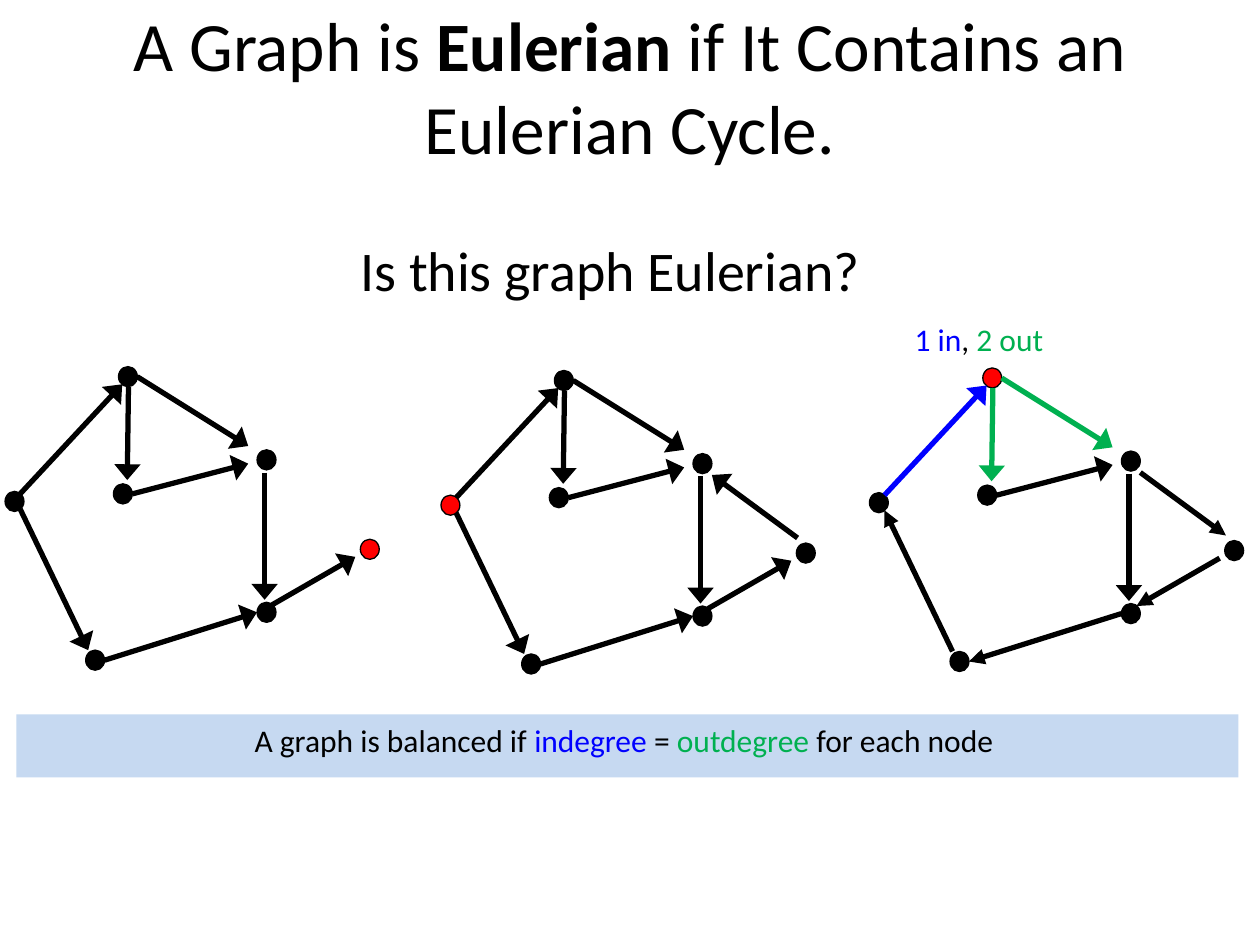
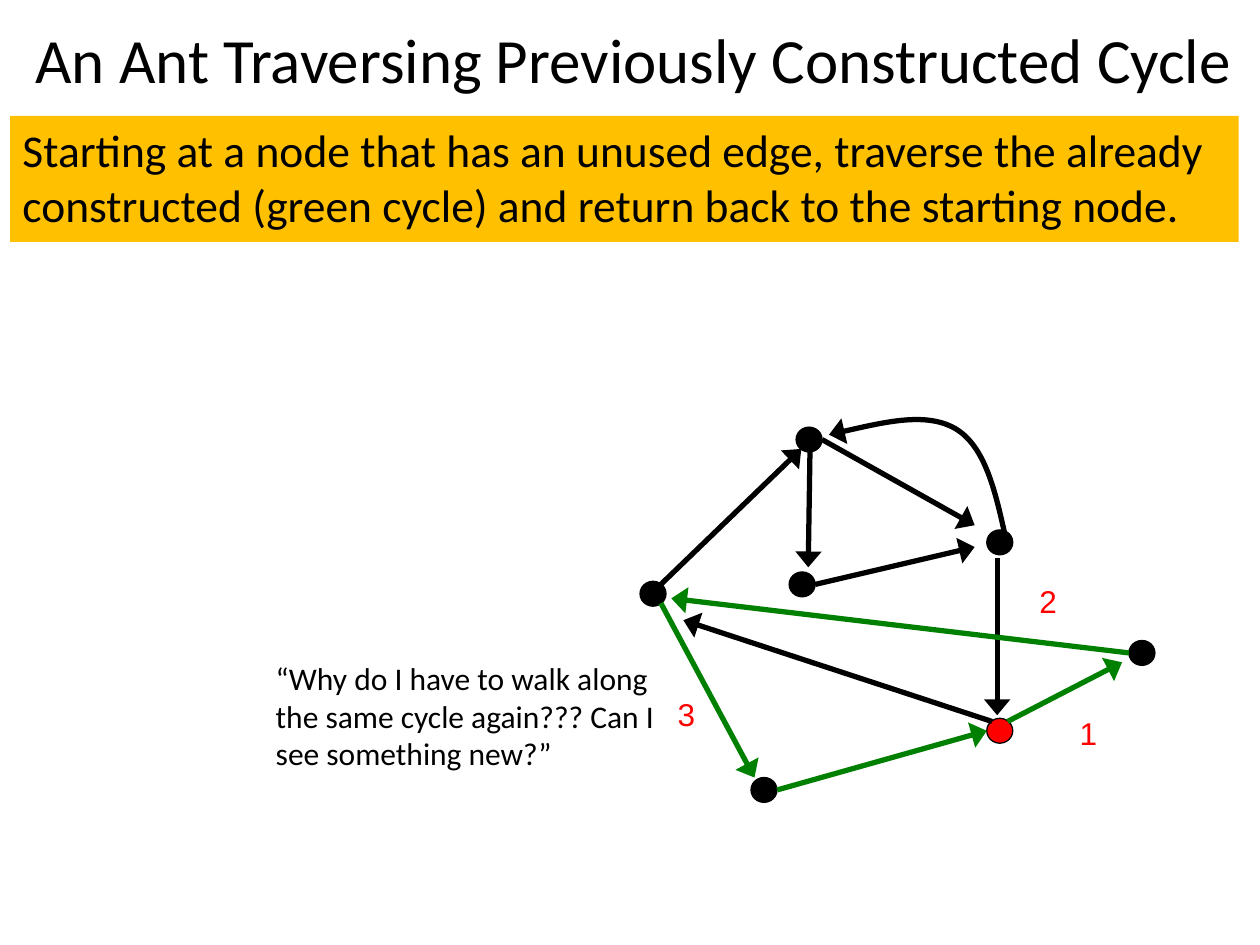
"""Builds two slides on Eulerian graphs and cycles."""
from pptx import Presentation
from pptx.dml.color import RGBColor
from pptx.enum.shapes import MSO_CONNECTOR, MSO_SHAPE
from pptx.enum.text import MSO_ANCHOR, MSO_AUTO_SIZE, PP_ALIGN
from pptx.oxml.ns import qn
from pptx.util import Inches, Pt

BLACK = RGBColor(0, 0, 0)
RED = RGBColor(0xFF, 0, 0)
BLUE = RGBColor(0, 0, 0xFF)
GREEN = RGBColor(0, 0xB0, 0x50)
CYCLE_GREEN = RGBColor(0, 0x80, 0)
PALE_BLUE = RGBColor(0xC6, 0xD9, 0xF1)
AMBER = RGBColor(0xFF, 0xC0, 0)

LEFT, CENTER = PP_ALIGN.LEFT, PP_ALIGN.CENTER
TOP, MIDDLE = MSO_ANCHOR.TOP, MSO_ANCHOR.MIDDLE
NO_FIT = MSO_AUTO_SIZE.NONE
STRAIGHT = MSO_CONNECTOR.STRAIGHT
OVAL, RECT = MSO_SHAPE.OVAL, MSO_SHAPE.RECTANGLE

TITLE_AND_BODY, TITLE_ONLY = 1, 5

NODE_SIZE = (0.15, 0.16)
NODES = {
    "top": (0.9, 0),
    "right": (2, 0.66),
    "far": (2.82, 1.37),
    "low": (2, 1.87),
    "bottom": (0.64, 2.25),
    "inner": (0.86, 0.93),
    "left": (0, 0.99),
}
EDGES = {
    "left-top": ((0.12, 1.01), (0.93, 0.14)),
    "top-right": ((1.05, 0.08), (1.93, 0.63)),
    "right-low": ((2.06, 0.84), (2.06, 1.85)),
    "low-far": ((2.12, 1.89), (2.78, 1.51)),
    "top-inner": ((0.98, 0.16), (0.97, 0.9)),
    "inner-right": ((1.01, 1.01), (1.93, 0.77)),
    "bottom-low": ((0.79, 2.33), (2, 1.95)),
    "left-bottom": ((0.12, 1.13), (0.66, 2.25)),
}
FAR_RIGHT = {"far-right": ((2.83, 1.33), (2.15, 0.83))}
BACK_TO_LEFT = {
    "low-left": ((2.03, 1.89), (0.25, 1.24)),
    "far-left": ((2.82, 1.45), (0.18, 1.1)),
}


def write(tf, *parts, size=18, font="Calibri", align=LEFT, anchor=TOP, wrap=True):
    """Fill a text frame with parts: plain strings or (text, colour, bold)."""
    tf.word_wrap = wrap
    tf.auto_size = NO_FIT
    tf.vertical_anchor = anchor
    p = tf.paragraphs[0]
    p.alignment = align
    p.space_before = Pt(0)
    for part in parts:
        text, color, bold = (part, BLACK, False) if isinstance(part, str) else part
        r = p.add_run()
        r.text = text
        r.font.name = font
        r.font.size = Pt(size)
        r.font.bold = bold
        r.font.color.rgb = color


def style_arrow(s, color, width="lg"):
    """Give a line its colour, its weight and an arrowhead at the end."""
    s.line.color.rgb = color
    s.line.width = Pt(3)
    sp_pr = s._element.spPr
    ln = sp_pr.find(qn("a:ln"))
    tail = ln.makeelement(qn("a:tailEnd"), {"type": "triangle", "w": width, "len": "med"})
    ln.append(tail)
    if sp_pr.find(qn("a:effectLst")) is None:
        sp_pr.append(sp_pr.makeelement(qn("a:effectLst"), {}))


class Deck:
    """Holds the presentation and draws on its current slide."""

    def __init__(self):
        self.prs = Presentation()
        self.prs.slide_width, self.prs.slide_height = Inches(10), Inches(7.5)
        self.slide = None

    def new_slide(self, layout):
        """Start a slide."""
        self.slide = self.prs.slides.add_slide(self.prs.slide_layouts[layout])

    def place(self, s, x, y, w, h):
        """Move and size a placeholder."""
        s.left, s.top, s.width, s.height = map(Inches, (x, y, w, h))
        return s.text_frame

    def title(self, box, *parts, size, bottom=0.05):
        """Write the slide title."""
        tf = self.place(self.slide.shapes.title, *box)
        tf.margin_bottom = Inches(bottom)
        write(tf, *parts, size=size, align=CENTER, anchor=MIDDLE)

    def question(self, box, text, top, right):
        """Write a centred body line without a bullet."""
        tf = self.place(self.slide.placeholders[1], *box)
        tf.margin_top, tf.margin_right = Inches(top), Inches(right)
        p_pr = tf.paragraphs[0]._p.get_or_add_pPr()
        p_pr.set("marL", "0")
        p_pr.set("indent", "0")
        p_pr.append(p_pr.makeelement(qn("a:buNone"), {}))
        write(tf, text, size=32, align=CENTER)

    def text(self, box, *parts, **style):
        """Add a text box."""
        s = self.slide.shapes.add_textbox(*map(Inches, box))
        write(s.text_frame, *parts, **style)

    def band(self, box, fill, *parts, **style):
        """Add a filled band with text."""
        s = self.slide.shapes.add_shape(RECT, *map(Inches, box))
        s.shadow.inherit = False
        s.fill.solid()
        s.fill.fore_color.rgb = fill
        s.line.fill.background()
        write(s.text_frame, *parts, **style)

    def node(self, shapes, x, y, w, h, fill):
        """Add a graph node."""
        s = shapes.add_shape(OVAL, *map(Inches, (x, y, w, h)))
        s.shadow.inherit = False
        s.fill.solid()
        s.fill.fore_color.rgb = fill
        s.line.color.rgb = BLACK
        s.line.width = Pt(0.75)

    def graph(self, x, y, edges, red, scale=(1, 1), colors=None, turned=()):
        """Draw the graph with its corner at x, y and one red node."""
        shapes = self.slide.shapes.add_group_shape().shapes
        sx, sy = scale
        w, h = NODE_SIZE
        for name, (nx, ny) in NODES.items():
            fill = RED if name == red else BLACK
            self.node(shapes, x + nx * sx, y + ny * sy, w * sx, h * sy, fill)
        for name, (start, end) in edges.items():
            if name in turned:
                start, end = end, start
            ends = [Inches(o + v * k) for point in (start, end)
                    for o, v, k in zip((x, y), point, scale)]
            s = shapes.add_connector(STRAIGHT, *ends)
            style_arrow(s, (colors or {}).get(name, BLACK), "med" if name in turned else "lg")

    def curve(self, start, *points):
        """Draw an arrow along cubic curves, three points to each."""
        builder = self.slide.shapes.build_freeform(*map(Inches, start))
        builder.add_line_segments([tuple(map(Inches, pt)) for pt in points], close=False)
        s = builder.convert_to_shape()
        outline = s._element.find(".//" + qn("a:path"))
        lines = outline.findall(qn("a:lnTo"))
        for i in range(0, len(lines), 3):
            bezier = outline.makeelement(qn("a:cubicBezTo"), {})
            for line in lines[i:i + 3]:
                bezier.append(line[0])
                outline.remove(line)
            outline.append(bezier)
        s.shadow.inherit = False
        s.fill.background()
        style_arrow(s, BLACK)


def eulerian_slide(deck):
    """Three graphs and the balance rule."""
    deck.new_slide(TITLE_AND_BODY)
    deck.title((0.5, 0.5, 9, 0.96), "A Graph is ", ("Eulerian", BLACK, True),
               " if It Contains an Eulerian Cycle.", size=39.6, bottom=0.65)
    deck.question((2.06, 1.17, 5.79, 0.86), "Is this graph Eulerian?", top=0.7, right=0.32)
    deck.graph(0.04, 2.91, EDGES, "far")
    deck.graph(3.5, 2.94, EDGES | FAR_RIGHT, "left")
    deck.graph(6.9, 2.92, EDGES | FAR_RIGHT, "top",
               colors={"left-top": BLUE, "top-right": GREEN, "top-inner": GREEN},
               turned=("low-far", "bottom-low", "left-bottom", "far-right"))
    deck.text((7.16, 2.49, 1.92, 0.5), ("1 in", BLUE, False), ", ", ("2 out", GREEN, False))
    deck.band((0.13, 5.67, 9.7, 0.5), PALE_BLUE, "A graph is balanced if ",
              ("indegree ", BLUE, False), "= ", ("outdegree", GREEN, False),
              " for each node ", align=CENTER)


def ant_slide(deck):
    """The ant walks the green cycle again."""
    deck.new_slide(TITLE_ONLY)
    deck.title((0.17, 0.17, 9.83, 0.58),
               "An Ant Traversing Previously Constructed Cycle ", size=36)
    deck.curve((7.98, 4.26), (7.9, 3.9), (7.82, 3.54), (7.58, 3.4),
               (7.35, 3.27), (6.97, 3.36), (6.58, 3.45))
    green_cycle = ("bottom-low", "low-far", "far-left", "left-bottom")
    deck.graph(5.08, 3.39, EDGES | BACK_TO_LEFT, "low", scale=(1.376, 1.236),
               colors=dict.fromkeys(green_cycle, CYCLE_GREEN))
    for step, x, y in (("1", 8.47, 5.62), ("2", 8.15, 4.57), ("3", 5.28, 5.47)):
        deck.text((x, y, 0.34, 0.4), (step, RED, False), font="Arial", wrap=False)
    deck.text((2.09, 5.18, 3.54, 1.72),
              "“Why do I have to walk along the same cycle again??? Can I see something new?”")
    deck.band((0.08, 0.92, 9.75, 1), AMBER,
              "Starting at a node that has an unused edge, traverse the already "
              "constructed (green cycle) and return back to the starting node.", size=26)


def main():
    """Build and save the slides."""
    deck = Deck()
    eulerian_slide(deck)
    ant_slide(deck)
    deck.prs.save("out.pptx")


if __name__ == "__main__":
    main()
